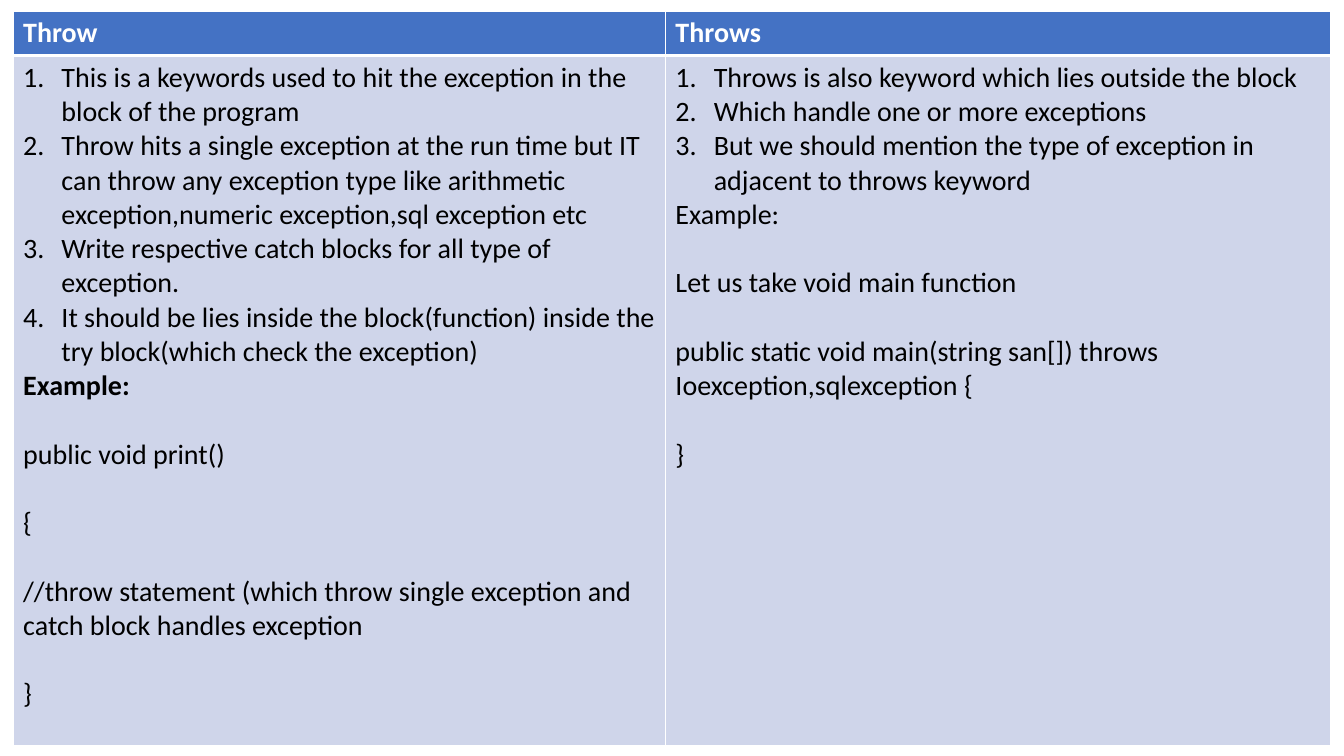
from pptx import Presentation
from pptx.dml.color import RGBColor
from pptx.oxml import parse_xml
from pptx.oxml.ns import nsdecls
from pptx.util import Inches, Pt

# Content: each body line is (kind, text)
NUMBERED, HEADING, PLAIN, SPACED = "numbered", "heading", "plain", "spaced"
HEADERS = ["Throw", "Throws"]
BODIES = [
    [
        (NUMBERED, "This is a keywords used to hit the exception in the block of the program"),
        (NUMBERED, "Throw hits a single exception at the run time but IT can throw any "
                   "exception type like arithmetic exception,numeric exception,sql exception etc"),
        (NUMBERED, "Write respective catch blocks for all type of exception."),
        (NUMBERED, "It should be lies inside the block(function) inside the try block"
                   "(which check the exception)"),
        (HEADING, "Example:"),
        (SPACED, "public void print()"),
        (SPACED, "{"),
        (SPACED, "//throw statement (which throw single exception and catch block "
                 "handles exception"),
        (SPACED, "}"),
    ],
    [
        (NUMBERED, "Throws is also keyword which lies outside the block"),
        (NUMBERED, "Which handle one or more exceptions"),
        (NUMBERED, "But we should mention the type of exception in adjacent to throws keyword"),
        (PLAIN, "Example:"),
        (SPACED, "Let us take void main function"),
        (SPACED, "public static void main(string san[]) throws Ioexception,sqlexception {"),
        (SPACED, "}"),
    ],
]

# Layout and style
LEFT, TOP = 0.13, 0.11
COLUMN_WIDTHS = [6.47, 6.6]
ROW_HEIGHTS = [0.44, 6.85]
INDENT = Inches(0.38)
LINE_GAP = Pt(24.4)
BLUE, PALE, WHITE, BLACK = "4472C4", "CFD5EA", "FFFFFF", "000000"


def color(value):
    return RGBColor.from_string(value)


def add_text(paragraph, text, text_color, bold):
    run = paragraph.add_run()
    run.text = text
    run.font.name = "Calibri"
    run.font.size = Pt(20)
    run.font.bold = bold
    run.font.color.rgb = color(text_color)


def number_paragraph(paragraph):
    properties = paragraph._p.get_or_add_pPr()
    properties.set("marL", str(INDENT))
    properties.set("indent", str(-INDENT))
    properties.append(parse_xml(f'<a:buFont {nsdecls("a")} typeface="+mj-lt"/>'))
    properties.append(parse_xml(f'<a:buAutoNum {nsdecls("a")} type="arabicPeriod"/>'))


def style_cell(cell, fill, widths):
    cell.fill.solid()
    cell.fill.fore_color.rgb = color(fill)
    properties = cell._tc.get_or_add_tcPr()
    for position, (side, width) in enumerate(zip("LRTB", widths)):
        properties.insert(position, parse_xml(
            f'<a:ln{side} {nsdecls("a")} w="{Pt(width)}"><a:solidFill>'
            f'<a:srgbClr val="{WHITE}"/></a:solidFill></a:ln{side}>'))


presentation = Presentation()
presentation.slide_width = Inches(13.33)
presentation.slide_height = Inches(7.5)
slide = presentation.slides.add_slide(presentation.slide_layouts[6])

# Comparison table
table = slide.shapes.add_table(
    len(ROW_HEIGHTS), len(COLUMN_WIDTHS), Inches(LEFT), Inches(TOP),
    Inches(sum(COLUMN_WIDTHS)), Inches(sum(ROW_HEIGHTS))).table
table.horz_banding = False
for column, width in zip(table.columns, COLUMN_WIDTHS):
    column.width = Inches(width)
for row, height in zip(table.rows, ROW_HEIGHTS):
    row.height = Inches(height)

for index, (header, body) in enumerate(zip(HEADERS, BODIES)):
    # Header cell, with a thick rule beneath
    header_cell = table.cell(0, index)
    style_cell(header_cell, BLUE, (1, 1, 1, 3))
    add_text(header_cell.text_frame.paragraphs[0], header, WHITE, True)

    # Body cell
    body_cell = table.cell(1, index)
    style_cell(body_cell, PALE, (1, 1, 3, 1))
    frame = body_cell.text_frame
    for line, (kind, text) in enumerate(body):
        paragraph = frame.add_paragraph() if line else frame.paragraphs[0]
        if kind == NUMBERED:
            number_paragraph(paragraph)
        elif kind == SPACED:
            paragraph.space_before = LINE_GAP
        add_text(paragraph, text, BLACK, kind == HEADING)

presentation.save("out.pptx")
